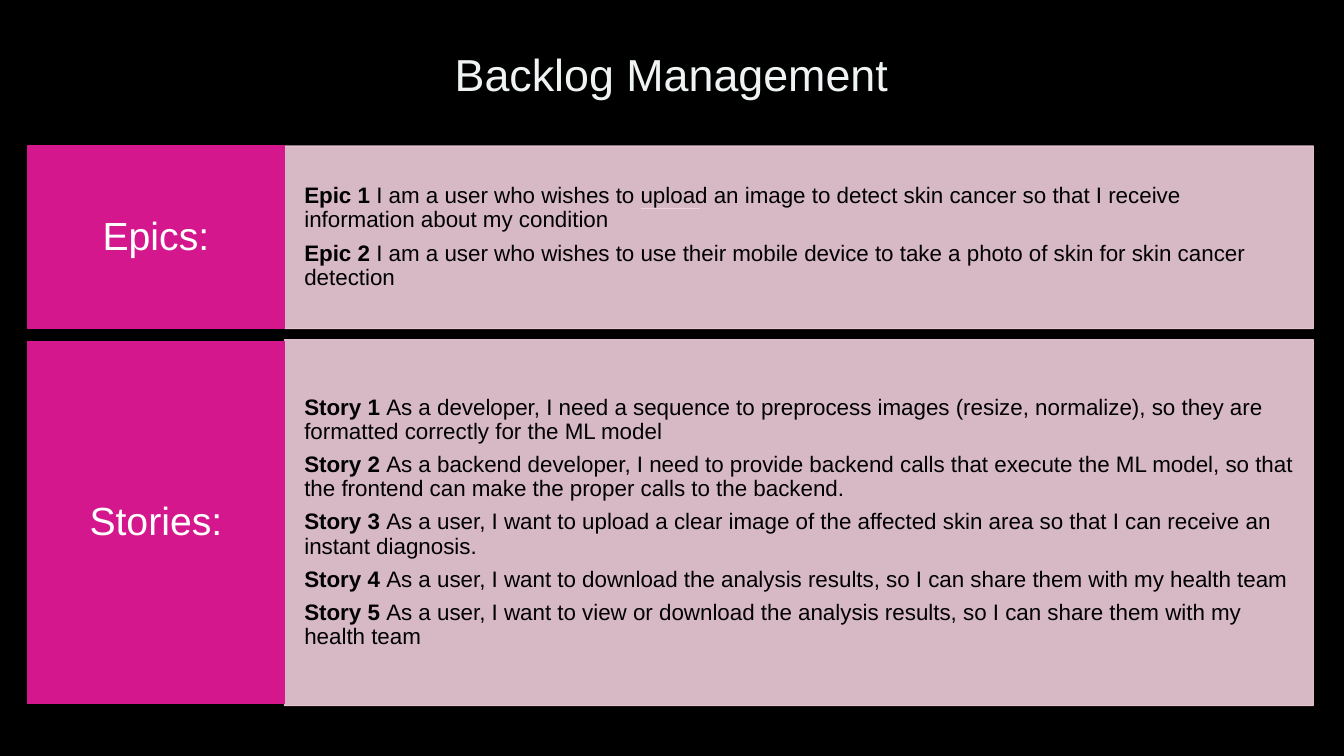
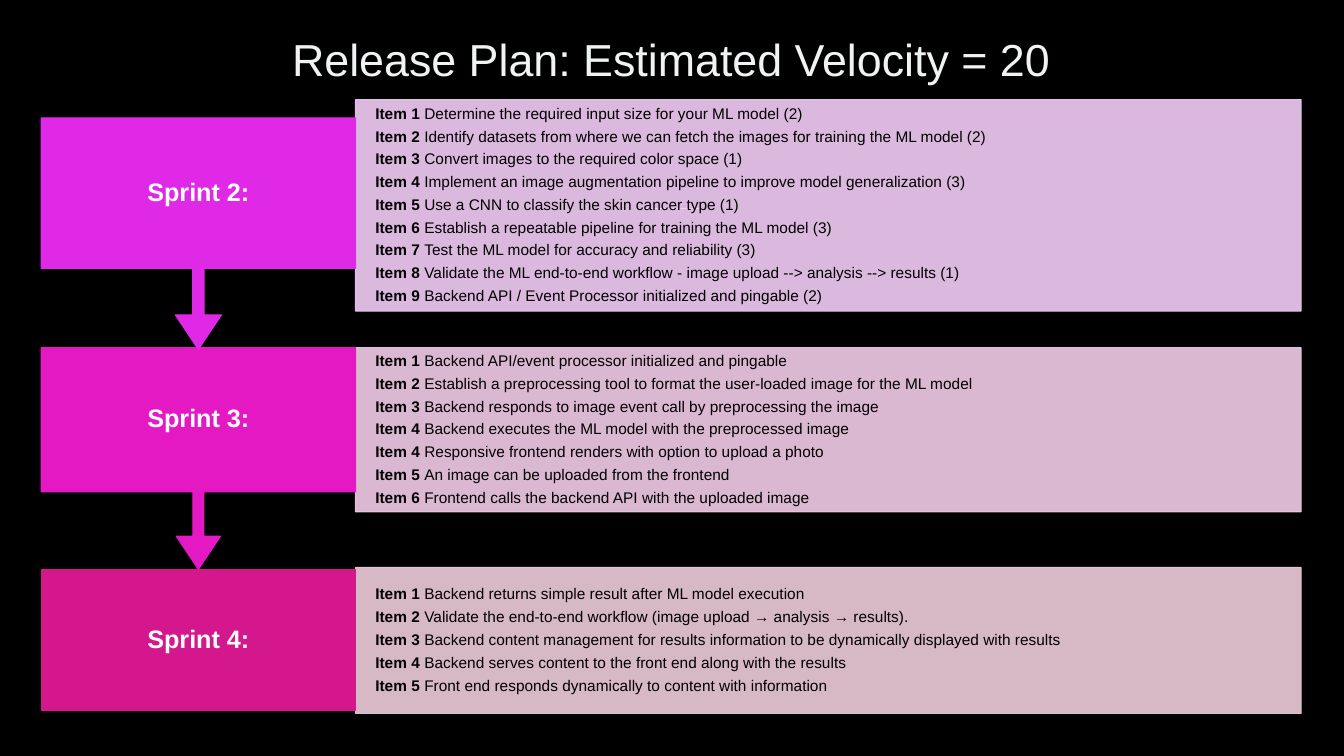
"""Build the backlog management and release plan slides."""
from lxml.etree import SubElement
from pptx import Presentation
from pptx.dml.color import RGBColor
from pptx.enum.shapes import MSO_CONNECTOR, MSO_SHAPE
from pptx.enum.text import MSO_ANCHOR, MSO_AUTO_SIZE, PP_ALIGN
from pptx.oxml.ns import qn
from pptx.util import Cm, Pt

BLACK = RGBColor(0x00, 0x00, 0x00)
WHITE = RGBColor(0xFF, 0xFF, 0xFF)
TITLE_COLOR = RGBColor(0xF0, 0xF3, 0xF3)
MAGENTA = RGBColor(0xD5, 0x17, 0x8E)
PINK = RGBColor(0xE5, 0x19, 0xC3)
VIOLET = RGBColor(0xDF, 0x29, 0xE7)
PALE_MAGENTA = RGBColor(0xEF, 0xCC, 0xDB)
PALE_PINK = RGBColor(0xF3, 0xCD, 0xE9)
PALE_VIOLET = RGBColor(0xF3, 0xCD, 0xF6)
FONT = "Arial"

EPICS = [
    "Epic 1 I am a user who wishes to upload an image to detect skin cancer so that I receive information about my condition",
    "Epic 2 I am a user who wishes to use their mobile device to take a photo of skin for skin cancer detection",
]
STORIES = [
    "Story 1 As a developer, I need a sequence to preprocess images (resize, normalize), so they are formatted correctly for the ML model",
    "Story 2 As a backend developer, I need to provide backend calls that execute the ML model, so that the frontend can make the proper calls to the backend.",
    "Story 3 As a user, I want to upload a clear image of the affected skin area so that I can receive an instant diagnosis.",
    "Story 4 As a user, I want to download the analysis results, so I can share them with my health team",
    "Story 5 As a user, I want to view or download the analysis results, so I can share them with my health team",
]
SPRINT_2 = [
    "Item 1 Determine the required input size for your ML model (2)",
    "Item 2 Identify datasets from where we can fetch the images for training the ML model (2)",
    "Item 3 Convert images to the required color space (1)",
    "Item 4 Implement an image augmentation pipeline to improve model generalization (3)",
    "Item 5 Use a CNN to classify the skin cancer type (1)",
    "Item 6 Establish a repeatable pipeline for training the ML model (3)",
    "Item 7 Test the ML model for accuracy and reliability (3)",
    "Item 8 Validate the ML end-to-end workflow - image upload --> analysis --> results (1)",
    "Item 9 Backend API / Event Processor initialized and pingable (2)",
]
SPRINT_3 = [
    "Item 1 Backend API/event processor initialized and pingable",
    "Item 2 Establish a preprocessing tool to format the user-loaded image for the ML model",
    "Item 3 Backend responds to image event call by preprocessing the image",
    "Item 4 Backend executes the ML model with the preprocessed image",
    "Item 4 Responsive frontend renders with option to upload a photo",
    "Item 5 An image can be uploaded from the frontend",
    "Item 6 Frontend calls the backend API with the uploaded image",
]
SPRINT_4 = [
    "Item 1 Backend returns simple result after ML model execution",
    "Item 2 Validate the end-to-end workflow (image upload → analysis → results).",
    "Item 3 Backend content management for results information to be dynamically displayed with results",
    "Item 4 Backend serves content to the front end along with the results",
    "Item 5 Front end responds dynamically to content with information",
]

BACKLOG_ROWS = [
    ("Epics:", MAGENTA, MSO_SHAPE.RECTANGLE, 3.68, 4.6, EPICS, PALE_MAGENTA, 3.68, 4.6),
    ("Stories:", MAGENTA, MSO_SHAPE.RECTANGLE, 8.61, 9.12, STORIES, PALE_MAGENTA, 8.56, 9.22),
]
SPRINT_ROWS = [
    ("Sprint 4:", MAGENTA, MSO_SHAPE.RECTANGLE, 14.35, 3.56, SPRINT_4, PALE_MAGENTA, 14.3, 3.68),
    ("Sprint 3:", PINK, MSO_SHAPE.DOWN_ARROW_CALLOUT, 8.76, 5.59, SPRINT_3, PALE_PINK, 8.76, 4.14),
    ("Sprint 2:", VIOLET, MSO_SHAPE.DOWN_ARROW_CALLOUT, 2.97, 5.84, SPRINT_2, PALE_VIOLET, 2.51, 5.33),
]
SLIDES = [
    dict(title="Backlog Management", title_height=2.29, rows=BACKLOG_ROWS, left=0.69, label_width=6.48,
         panel_width=25.93, label_size=28, label_bold=False, item_size=16, panel_inset=1.17),
    dict(title="Release Plan: Estimated Velocity = 20", title_height=1.52, rows=SPRINT_ROWS, left=1.04,
         label_width=7.92, panel_width=23.83, label_size=18, label_bold=True, item_size=11, panel_inset=0.38),
]


def write_text(shape, lines, size, color, bold=False, align=PP_ALIGN.CENTER, lead_words=0,
               inset_x=0.25, inset_y=0.13, line_spacing=0.9):
    """Fill a shape with paragraphs, setting the leading words of each in bold."""
    frame = shape.text_frame
    frame.word_wrap = True
    frame.auto_size = MSO_AUTO_SIZE.NONE
    frame.vertical_anchor = MSO_ANCHOR.MIDDLE
    frame.margin_left = frame.margin_right = Cm(inset_x)
    frame.margin_top = frame.margin_bottom = Cm(inset_y)
    for index, line in enumerate(lines):
        paragraph = frame.add_paragraph() if index else frame.paragraphs[0]
        paragraph.alignment = align
        paragraph.line_spacing = line_spacing
        paragraph.space_after = Pt(round(0.4 * size, 1)) if lead_words else Pt(0)
        words = line.split(" ")
        parts = [(" ".join(words[lead_words:]), bold)]
        if lead_words:
            parts.insert(0, (" ".join(words[:lead_words]) + " ", True))
        for text, is_bold in parts:
            run = paragraph.add_run()
            run.text = text
            run.font.name = FONT
            run.font.size = Pt(size)
            run.font.bold = is_bold
            run.font.color.rgb = color


def add_block(slide, kind, left, top, width, height, color, opacity=100):
    """Add a flat shape whose fill and outline share a colour and opacity."""
    shape = slide.shapes.add_shape(kind, Cm(left), Cm(top), Cm(width), Cm(height))
    shape.shadow.inherit = False
    shape.fill.solid()
    shape.fill.fore_color.rgb = color
    shape.line.color.rgb = color
    shape.line.width = Pt(0.75)
    if opacity < 100:
        for color_element in shape._element.spPr.iter(qn("a:srgbClr")):
            SubElement(color_element, qn("a:alpha"), val=str(opacity * 1000))
    return shape


presentation = Presentation()
presentation.slide_width = Cm(33.87)
presentation.slide_height = Cm(19.05)
background = presentation.slide_master.background.fill
background.solid()
background.fore_color.rgb = BLACK
title_only = presentation.slide_layouts[5]

for content in SLIDES:
    slide = presentation.slides.add_slide(title_only)
    title = slide.shapes.title
    title.left, title.top = Cm(2.74), Cm(0.71)
    title.width, title.height = Cm(28.37), Cm(content["title_height"])
    write_text(title, [content["title"]], 32, TITLE_COLOR, line_spacing=1.0)

    accent = slide.shapes.add_connector(MSO_CONNECTOR.STRAIGHT, Cm(16.15), Cm(5.26), Cm(17.65), Cm(5.26))
    accent.line.color.rgb = WHITE
    accent.line.width = Pt(1)
    SubElement(accent._element.spPr, qn("a:effectLst"))

    left, label_width = content["left"], content["label_width"]
    for name, color, kind, top, height, items, pale, panel_top, panel_height in content["rows"]:
        panel = add_block(slide, MSO_SHAPE.RECTANGLE, left + label_width, panel_top,
                          content["panel_width"], panel_height, pale, opacity=90)
        write_text(panel, items, content["item_size"], BLACK, align=PP_ALIGN.LEFT, lead_words=2,
                   inset_x=0.5, inset_y=content["panel_inset"])
        label = add_block(slide, kind, left, top, label_width, height, color)
        if kind == MSO_SHAPE.DOWN_ARROW_CALLOUT:
            for index, value in enumerate((0.05, 0.1, 0.15, 0.65)):
                label.adjustments[index] = value
        write_text(label, [name], content["label_size"], WHITE, bold=content["label_bold"],
                   inset_x=0.35, inset_y=0.35)

presentation.save("out.pptx")
